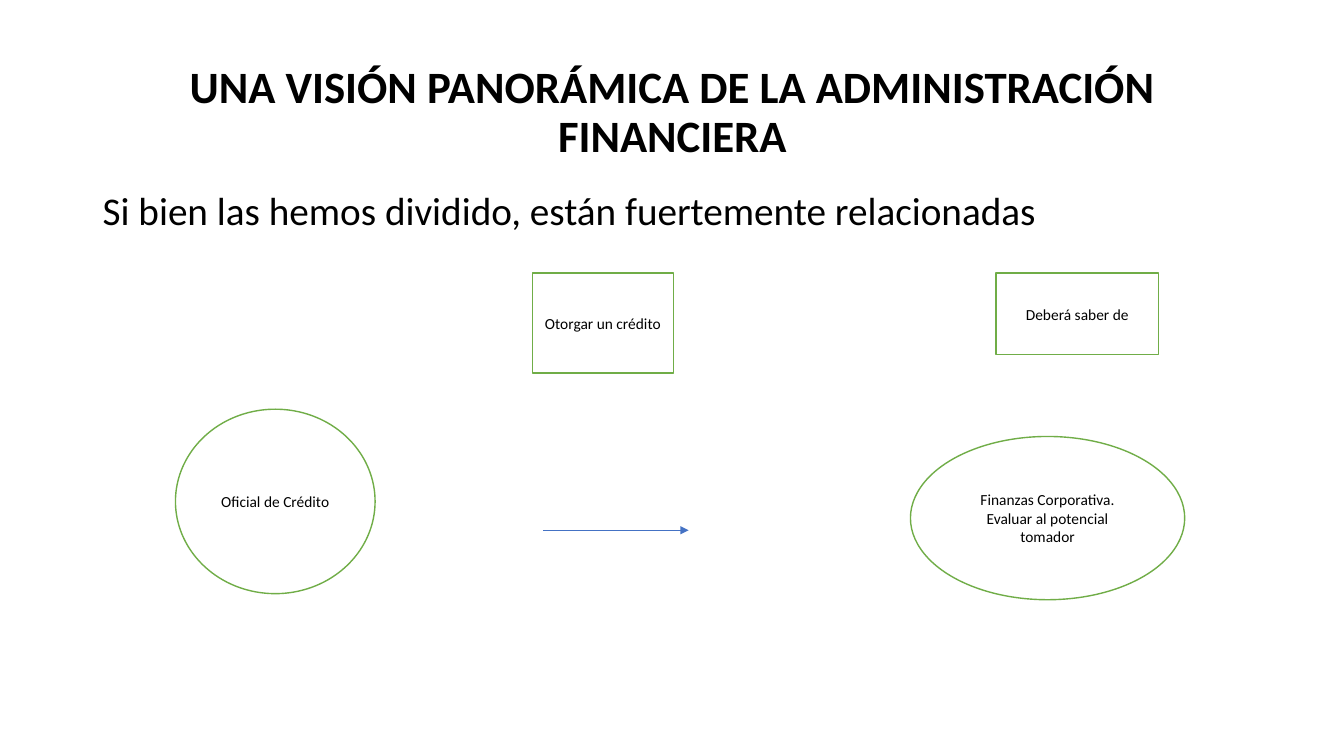
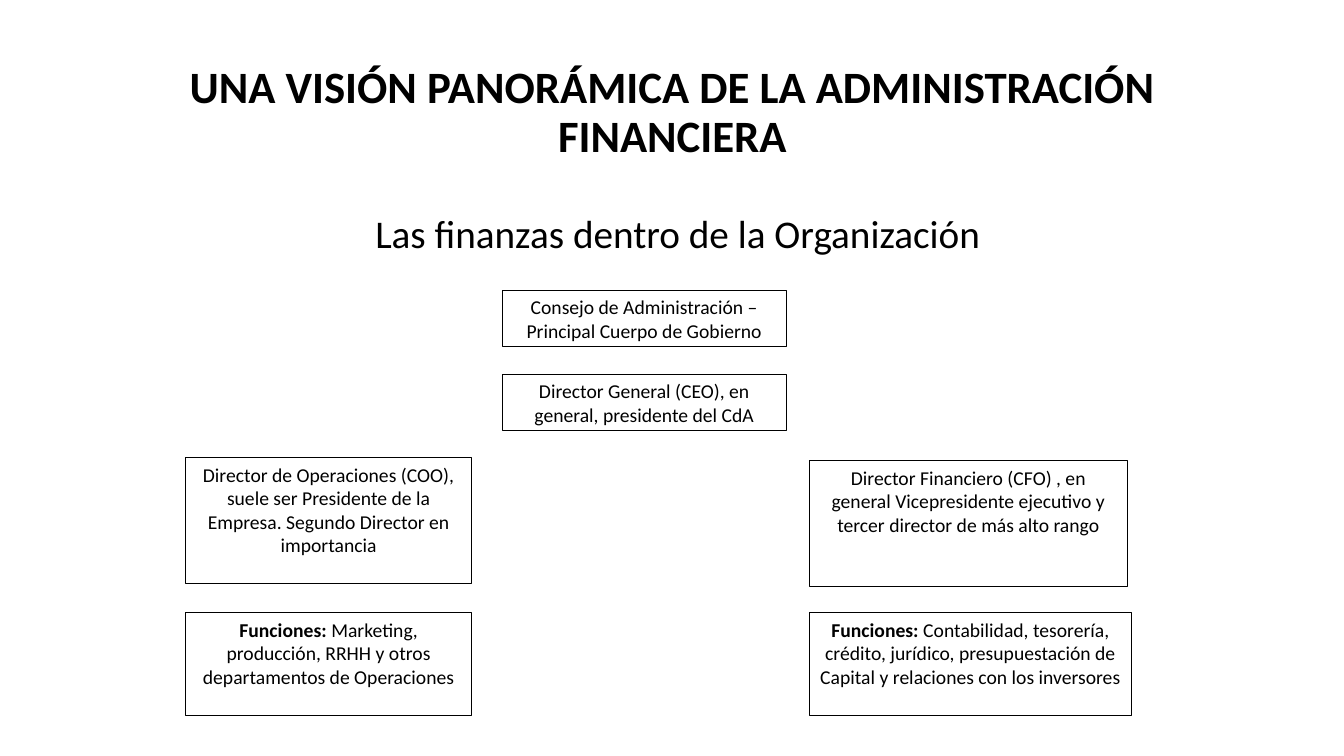
import pptx
import pptx.dml.color
import pptx.enum.shapes
import pptx.enum.text
import pptx.oxml
import pptx.util
from pptx.util import Inches

RGBColor = pptx.dml.color.RGBColor
Pt = pptx.util.Pt
MSO_SHAPE = pptx.enum.shapes.MSO_SHAPE
PP_ALIGN = pptx.enum.text.PP_ALIGN
MSO_ANCHOR = pptx.enum.text.MSO_ANCHOR

BLACK = RGBColor(0x00, 0x00, 0x00)
WHITE = RGBColor(0xFF, 0xFF, 0xFF)
GREEN = RGBColor(0x70, 0xAD, 0x47)
BLUE = RGBColor(0x44, 0x72, 0xC4)
FONT = "Calibri"
TITLE = "UNA VISIÓN PANORÁMICA DE LA ADMINISTRACIÓN FINANCIERA"


def write(sp, text, size, align=PP_ALIGN.CENTER, anchor=MSO_ANCHOR.TOP,
          spacing=1.0, bold=False, label=""):
    """Fill a shape with one paragraph, opened by an optional bold label."""
    tf = sp.text_frame
    tf.word_wrap = True
    tf.vertical_anchor = anchor
    p = tf.paragraphs[0]
    p.alignment = align
    p.line_spacing = spacing
    for part, is_bold in ((label, True), (text, bold)):
        if part:
            r = p.add_run()
            r.text = part
            r.font.name = FONT
            r.font.size = Pt(size)
            r.font.bold = is_bold
            r.font.color.rgb = BLACK


def add_box(s, kind, box, line_color, line_width):
    """Add a white outlined shape."""
    sp = s.shapes.add_shape(kind, *map(Inches, box))
    sp.shadow.inherit = False
    sp.fill.solid()
    sp.fill.fore_color.rgb = WHITE
    sp.line.color.rgb = line_color
    sp.line.width = Pt(line_width)
    return sp


prs = pptx.Presentation()
prs.slide_width = Inches(13.33)
prs.slide_height = Inches(7.5)

# Title and lead text of each slide
slides = []
for lead, left, top, align in (
    ("Si bien las hemos dividido, están fuertemente relacionadas",
     0.92, 1.85, PP_ALIGN.LEFT),
    ("Las finanzas dentro de la Organización", 0.97, 2.08, PP_ALIGN.CENTER),
):
    s = prs.slides.add_slide(prs.slide_layouts[6])
    slides.append(s)
    title = s.shapes.add_textbox(Inches(0.92), Inches(0.4), Inches(11.5), Inches(1.45))
    write(title, TITLE, 32, anchor=MSO_ANCHOR.MIDDLE, spacing=0.9, bold=True)
    body = s.shapes.add_textbox(Inches(left), Inches(top), Inches(11.5), Inches(4.76))
    write(body, lead, 28, align=align, spacing=0.9)

credit_slide, organization_slide = slides

# Slide 1: the credit officer and what the job requires
for kind, box, text in (
    (MSO_SHAPE.OVAL, (1.74, 4.06, 1.98, 1.83), "Oficial de Crédito"),
    (MSO_SHAPE.OVAL, (9.03, 4.33, 2.72, 1.62),
     "Finanzas Corporativa. Evaluar al potencial tomador"),
    (MSO_SHAPE.RECTANGLE, (5.28, 2.71, 1.4, 0.99), "Otorgar un crédito"),
    (MSO_SHAPE.RECTANGLE, (9.88, 2.71, 1.61, 0.81), "Deberá saber de"),
):
    sp = add_box(credit_slide, kind, box, GREEN, 1)
    write(sp, text, 11, anchor=MSO_ANCHOR.MIDDLE)

arrow = credit_slide.shapes.add_connector(
    pptx.enum.shapes.MSO_CONNECTOR.STRAIGHT,
    Inches(5.39), Inches(5.26), Inches(6.83), Inches(5.26))
arrow.line.color.rgb = BLUE
arrow.line.width = Pt(0.5)
ln = arrow.line._get_or_add_ln()
ln.append(pptx.oxml.parse_xml(
    '<a:tailEnd xmlns:a="http://schemas.openxmlformats.org/drawingml/2006/main"'
    ' type="triangle"/>'))
ln.addnext(pptx.oxml.parse_xml(
    '<a:effectLst xmlns:a="http://schemas.openxmlformats.org/drawingml/2006/main"/>'))

# Slide 2: the organization, from the board down to the functions
for box, label, text in (
    ((4.98, 2.88, 2.82, 0.56), "",
     "Consejo de Administración – Principal Cuerpo de Gobierno"),
    ((4.98, 3.71, 2.82, 0.56), "",
     "Director General (CEO), en general, presidente del CdA"),
    ((1.84, 4.54, 2.84, 1.25), "",
     "Director de Operaciones (COO), suele ser Presidente de la Empresa. "
     "Segundo Director en importancia"),
    ((8.03, 4.57, 3.15, 1.25), "",
     "Director Financiero (CFO) , en general Vicepresidente ejecutivo y "
     "tercer director de más alto rango"),
    ((8.03, 6.08, 3.19, 1.02), "Funciones: ",
     "Contabilidad, tesorería, crédito, jurídico, presupuestación de Capital "
     "y relaciones con los inversores"),
    ((1.84, 6.08, 2.84, 1.02), "Funciones: ",
     "Marketing, producción, RRHH y otros departamentos de Operaciones"),
):
    sp = add_box(organization_slide, MSO_SHAPE.RECTANGLE, box, BLACK, 0.5)
    write(sp, text, 14, label=label)

prs.save("out.pptx")
